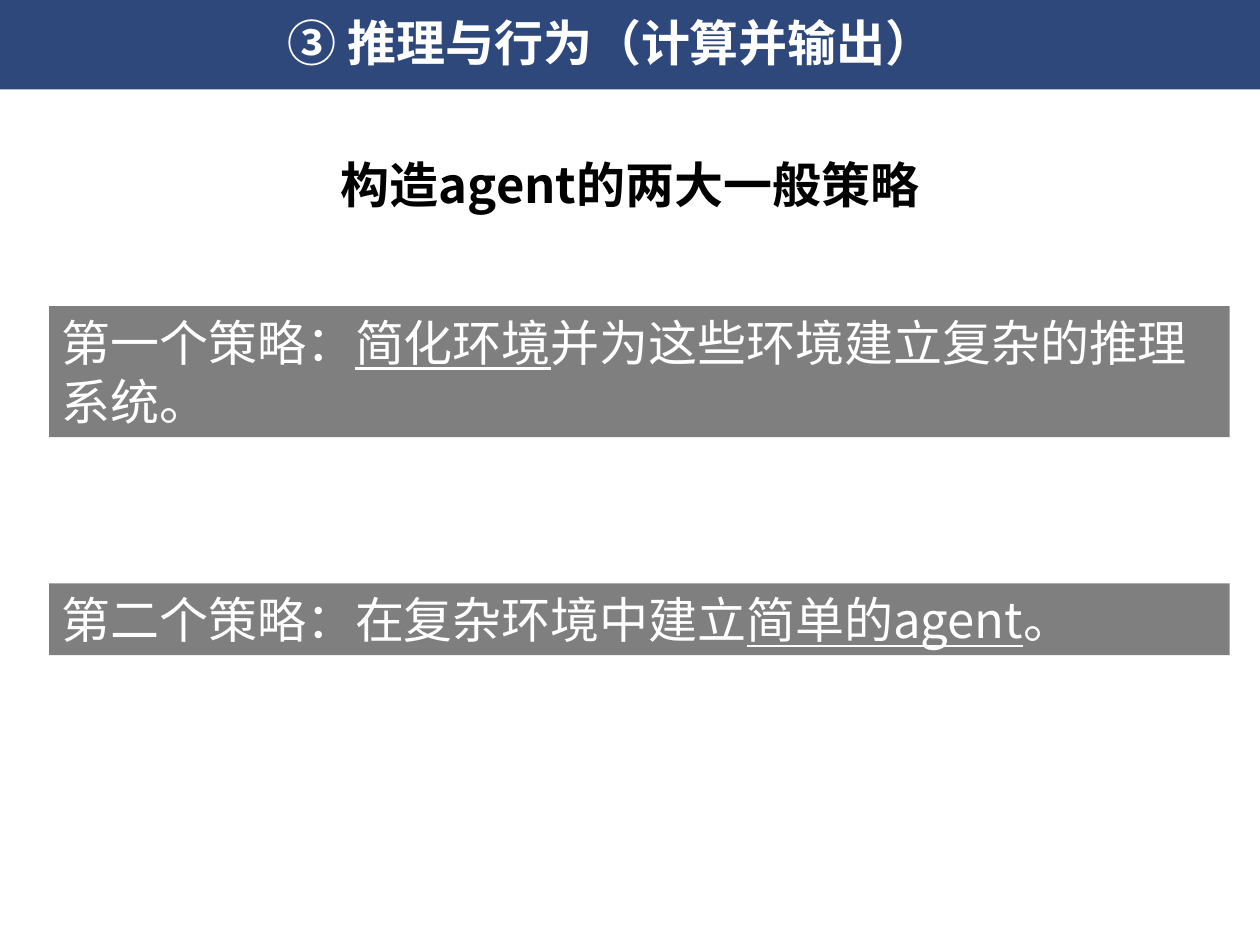
from lxml import etree
from pptx import Presentation
from pptx import util as u
from pptx.dml import color
from pptx.enum import shapes, text
from pptx.oxml import ns

HUES = {"navy": "002060", "black": "000000", "white": "FFFFFF"}


class Deck:
    """Holds the text style and the current slide."""

    face = "Noto Sans CJK SC"
    size = u.Pt(28)

    def __init__(self):
        self.prs = Presentation()
        self.prs.slide_width, self.prs.slide_height = u.Inches(10), u.Inches(7.5)
        self.slide = self.prs.slides.add_slide(self.prs.slide_layouts[5])

    def words(self, shape, parts, hue, bold=False, align=text.PP_ALIGN.CENTER):
        frame = shape.text_frame
        frame.word_wrap = True
        frame.auto_size = text.MSO_AUTO_SIZE.SHAPE_TO_FIT_TEXT
        frame.vertical_anchor = text.MSO_ANCHOR.TOP
        para = frame.paragraphs[0]
        para.alignment = align
        for part, under in parts:
            run = para.add_run()
            run.text = part
            font = run.font
            font.name, font.size, font.bold = self.face, self.size, bold
            font.color.rgb = color.RGBColor.from_string(HUES[hue])
            if under:
                font.underline = True
            latin = run._r.rPr.find(ns.qn("a:latin"))
            east = etree.Element(ns.qn("a:ea"), typeface=self.face)
            latin.addnext(east)

    def band(self, box, hue, alpha):
        shape = self.slide.shapes.add_shape(
            shapes.MSO_SHAPE.RECTANGLE, *map(u.Inches, box))
        shape.shadow.inherit = False
        shape.line.fill.background()
        shape.fill.solid()
        shape.fill.fore_color.rgb = color.RGBColor.from_string(HUES[hue])
        tint = shape._element.spPr.find(ns.qn("a:solidFill"))[0]
        etree.SubElement(tint, ns.qn("a:alpha"), val=str(alpha * 1000))
        return shape

    def title(self, box, line):
        shape = self.slide.shapes.title
        shape.left, shape.top, shape.width, shape.height = map(u.Inches, box)
        self.slide.shapes._spTree.append(shape._element)
        self.words(shape, [(line, False)], "white", bold=True)

    def plan(self, top, height, parts):
        shape = self.band((0.39, top, 9.37, height), "black", 50)
        self.words(shape, parts, "white", align=text.PP_ALIGN.LEFT)

    def label(self, box, line):
        shape = self.slide.shapes.add_textbox(*map(u.Inches, box))
        self.words(shape, [(line, False)], "black", bold=True)


def main():
    deck = Deck()
    deck.band((0, -0.03, 10, 0.74), "navy", 82)
    deck.title((0.67, 0.05, 8.36, 0.57), "③ 推理与行为（计算并输出）")
    deck.plan(2.43, 1.04, [("第一个策略：", False), ("简化环境", True),
                           ("并为这些环境建立复杂的推理系统。", False)])
    deck.plan(4.63, 0.57, [("第二个策略：在复杂环境中建立", False),
                           ("简单的agent", True), ("。", False)])
    deck.label((2.36, 1.18, 5.28, 0.57), "构造agent的两大一般策略")
    deck.prs.save("out.pptx")


if __name__ == "__main__":
    main()
